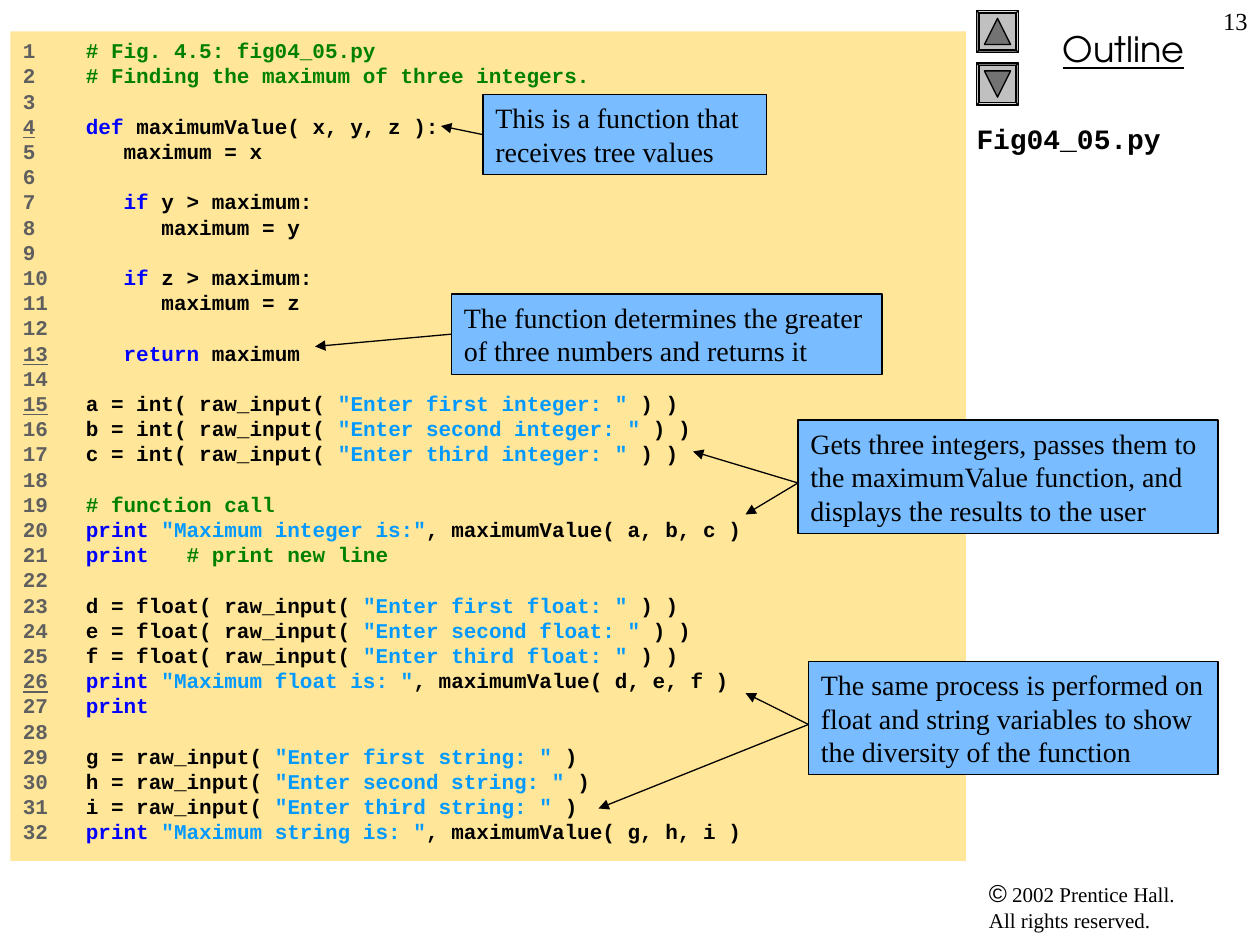
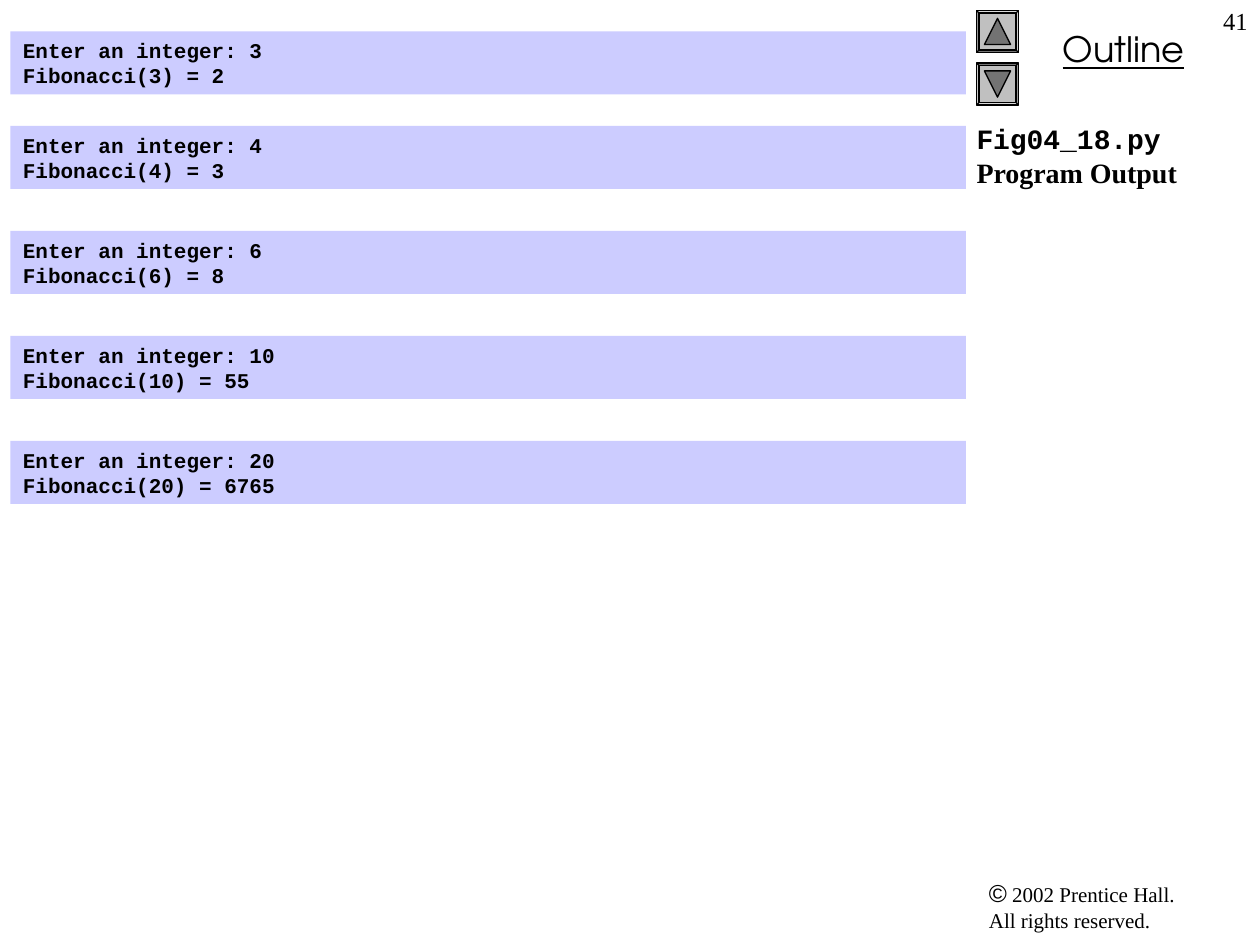
import dataclasses
import typing

import lxml.etree
import pptx
import pptx.dml.color
import pptx.enum.shapes
import pptx.enum.text
import pptx.oxml.ns
import pptx.util

RGB = pptx.dml.color.RGBColor
SHAPE = pptx.enum.shapes.MSO_SHAPE
ALIGN = pptx.enum.text.PP_ALIGN

BLACK = RGB(0x00, 0x00, 0x00)
LISTING_SAND = RGB(0xFF, 0xE6, 0x99)
OUTPUT_LILAC = RGB(0xCC, 0xCC, 0xFF)
CALLOUT_BLUE = RGB(0x79, 0xBC, 0xFF)
BUTTON_GREY = RGB(0xC0, 0xC0, 0xC0)
ARROW_GREY = RGB(0x73, 0x73, 0x73)
NUMBER_GREY = RGB(0x5F, 0x5F, 0x5F)
COMMENT_GREEN = RGB(0x00, 0x80, 0x00)
KEYWORD_BLUE = RGB(0x00, 0x00, 0xFF)
STRING_BLUE = RGB(0x00, 0x99, 0xFF)

SERIF, MONO, SANS, DISPLAY = "Times New Roman", "Courier New", "Arial", "TeX Gyre Adventor"

SLIDE_WIDTH, SLIDE_HEIGHT = pptx.util.Inches(10), pptx.util.Inches(7.5)
COLUMNS, ROWS = 120, 90
LEADING = 1.2
HAIRLINE = pptx.util.Pt(0.75)

PANEL_COLUMN, PANEL_WIDTH = 1, 91
SIDEBAR_COLUMN = 93
BUTTON_SIZE, BUTTON_ARROW_SIZE = 4, 2.5


class Cell(typing.NamedTuple):
    """A place on the slide grid."""
    column: float
    row: float
    width: float
    height: float


class Span(typing.NamedTuple):
    """A stretch of text in one style."""
    text: str
    size: float = 12
    font: str = MONO
    color: RGB = BLACK
    bold: bool = False
    underline: bool = False


Lines = list[list[Span]]


@dataclasses.dataclass(frozen=True)
class Callout:
    """A remark with arrows; tail_row None starts them at the middle of its left side."""
    text: str
    cell: Cell
    tips: tuple[tuple[float, float], ...]
    tail_row: typing.Optional[float] = None


FUNCTION_CODE = """\
# Fig. 4.5: fig04_05.py
# Finding the maximum of three integers.

def maximumValue( x, y, z ):
   maximum = x

   if y > maximum:
      maximum = y

   if z > maximum:
      maximum = z

   return maximum
"""
CALLS_CODE = """\
a = int( raw_input( "Enter first integer: " ) )
b = int( raw_input( "Enter second integer: " ) )
c = int( raw_input( "Enter third integer: " ) )

# function call
print "Maximum integer is:", maximumValue( a, b, c )
print   # print new line

d = float( raw_input( "Enter first float: " ) )
e = float( raw_input( "Enter second float: " ) )
f = float( raw_input( "Enter third float: " ) )
print "Maximum float is: ", maximumValue( d, e, f )
print

g = raw_input( "Enter first string: " )
h = raw_input( "Enter second string: " )
i = raw_input( "Enter third string: " )
print "Maximum string is: ", maximumValue( g, h, i )"""
KEYWORDS = ("def", "if", "return", "print")
UNDERLINED_NUMBERS = (4, 13, 15, 26)

TWO_LINES, THREE_LINES = 7.65, 10.8
CALLOUTS = (
    Callout("This is a function that receives tree values",
            Cell(46, 9, 27, TWO_LINES), ((42, 12),)),
    Callout("The function determines the greater of three numbers and returns it",
            Cell(43, 28, 41, TWO_LINES), ((30, 33),)),
    Callout("Gets three integers, passes them to the maximumValue function, "
            "and displays the results to the user",
            Cell(76, 40, 40, THREE_LINES), ((66, 43), (71, 49)), tail_row=46),
    Callout("The same process is performed on float and string variables "
            "to show the diversity of the function",
            Cell(77, 63, 39, THREE_LINES), ((71, 66), (57, 77)), tail_row=69),
)

FIBONACCI_RUNS = ((3, 2), (4, 3), (6, 8), (10, 55), (20, 6765))
OUTPUT_ROWS = (3, 12, 22, 32, 42)


def across(columns: float) -> int:
    return round(SLIDE_WIDTH * columns / COLUMNS)


def down(rows: float) -> int:
    return round(SLIDE_HEIGHT * rows / ROWS)


def place(cell: Cell) -> tuple[int, int, int, int]:
    return across(cell.column), down(cell.row), across(cell.width), down(cell.height)


def add_span(paragraph, span: Span) -> None:
    for index, piece in enumerate(span.text.split("\n")):
        if index:
            paragraph.add_line_break()
        if not piece:
            continue
        run = paragraph.add_run()
        run.text = piece
        run.font.name = span.font
        run.font.size = pptx.util.Pt(span.size)
        run.font.color.rgb = span.color
        run.font.bold = span.bold
        run.font.underline = span.underline


def write(frame, lines: Lines, align: ALIGN = ALIGN.LEFT, indent: float = 0.1,
          fixed_leading: bool = True) -> None:
    frame.word_wrap = True
    frame.vertical_anchor = pptx.enum.text.MSO_ANCHOR.TOP
    frame.margin_left = pptx.util.Inches(indent)
    for index, spans in enumerate(lines):
        paragraph = frame.paragraphs[0] if index == 0 else frame.add_paragraph()
        paragraph.alignment = align
        if fixed_leading:
            paragraph.line_spacing = pptx.util.Pt(LEADING * spans[0].size)
        for span in spans:
            add_span(paragraph, span)


def add_text(slide, cell: Cell, lines: Lines, **layout) -> None:
    write(slide.shapes.add_textbox(*place(cell)).text_frame, lines, **layout)


def add_block(slide, kind: SHAPE, cell: Cell, fill: RGB, outlined: bool = True,
              rotation: float = 0):
    block = slide.shapes.add_shape(kind, *place(cell))
    block.shadow.inherit = False
    block.rotation = rotation
    block.fill.solid()
    block.fill.fore_color.rgb = fill
    if outlined:
        block.line.color.rgb = BLACK
        block.line.width = HAIRLINE
    else:
        block.line.fill.background()
    return block


def add_panel(slide, row: float, height: float, fill: RGB, lines: Lines) -> None:
    cell = Cell(PANEL_COLUMN, row, PANEL_WIDTH, height)
    panel = add_block(slide, SHAPE.RECTANGLE, cell, fill, outlined=False)
    write(panel.text_frame, lines)


def add_button(slide, row: float, bevel_turn: float, arrow_turn: float) -> None:
    bevel = add_block(slide, SHAPE.BEVEL,
                      Cell(SIDEBAR_COLUMN, row, BUTTON_SIZE, BUTTON_SIZE),
                      BUTTON_GREY, rotation=bevel_turn)
    bevel.adjustments[0] = 0.06
    inset = (BUTTON_SIZE - BUTTON_ARROW_SIZE) / 2
    add_block(slide, SHAPE.ISOSCELES_TRIANGLE,
              Cell(SIDEBAR_COLUMN + inset, row + inset, BUTTON_ARROW_SIZE, BUTTON_ARROW_SIZE),
              ARROW_GREY, rotation=arrow_turn)


def add_callout(slide, callout: Callout) -> None:
    box = add_block(slide, SHAPE.RECTANGLE, callout.cell, CALLOUT_BLUE)
    write(box.text_frame, [[Span(callout.text, 16, SERIF)]])
    joined = callout.tail_row is None
    tail_row = callout.cell.row + callout.cell.height / 2 if joined else callout.tail_row
    qn = pptx.oxml.ns.qn
    for column, row in callout.tips:
        arrow = slide.shapes.add_connector(
            pptx.enum.shapes.MSO_CONNECTOR.STRAIGHT,
            across(callout.cell.column), down(tail_row), across(column), down(row))
        if joined:
            arrow.begin_connect(box, 1)
        arrow.line.color.rgb = BLACK
        arrow.line.width = HAIRLINE
        outline = arrow._element.spPr.find(qn("a:ln"))
        lxml.etree.SubElement(outline, qn("a:tailEnd"), type="triangle")
        lxml.etree.SubElement(arrow._element.spPr, qn("a:effectLst"))


def color_code(line: str) -> list[Span]:
    """Split a code line into keyword, string, comment and plain spans."""
    body, mark, comment = line.partition("#")
    spans = []
    for index, piece in enumerate(body.split('"')):
        if index % 2:
            spans.append(Span(f'"{piece}"', color=STRING_BLUE, bold=True))
            continue
        words = piece.split()
        if index == 0 and words and words[0] in KEYWORDS:
            end = piece.index(words[0]) + len(words[0])
            spans.append(Span(piece[:end], color=KEYWORD_BLUE, bold=True))
            piece = piece[end:]
        spans.append(Span(piece, bold=True))
    spans.append(Span(mark + comment, color=COMMENT_GREEN, bold=True))
    return spans


def number_line(number: int, line: str) -> list[Span]:
    digits = str(number)
    gap = " " * (5 - len(digits)) if line else ""
    return [Span(digits, color=NUMBER_GREY, bold=True,
                 underline=number in UNDERLINED_NUMBERS),
            Span(gap, color=NUMBER_GREY, bold=True), *color_code(line)]


def add_page(deck, page_number: int, title: list[Span]):
    """Add a slide with the sidebar that all slides share."""
    slide = deck.slides.add_slide(deck.slide_layouts[6])
    add_text(slide, Cell(SIDEBAR_COLUMN, 83, 26, 6.5),
             [[Span("©", 14, SANS),
               Span(" 2002 Prentice Hall.\nAll rights reserved.", 12, SERIF)]],
             fixed_leading=False)
    add_text(slide, Cell(94, 2, 26, 5.25),
             [[Span("Outline", 20, DISPLAY, underline=True)]], align=ALIGN.CENTER)
    add_button(slide, 1, bevel_turn=90, arrow_turn=0)
    add_button(slide, 6, bevel_turn=270, arrow_turn=180)
    add_text(slide, Cell(SIDEBAR_COLUMN, 11, 27, 72), [title], indent=0)
    add_text(slide, Cell(114, 0, 6, 6), [[Span(str(page_number), 14, SERIF)]],
             align=ALIGN.RIGHT)
    return slide


def add_listing_page(deck) -> None:
    slide = add_page(deck, 13, [Span("Fig04_05.py", 16, bold=True)])
    code_lines = FUNCTION_CODE.split("\n") + CALLS_CODE.split("\n")
    listing = [number_line(number, line) for number, line in enumerate(code_lines, start=1)]
    add_panel(slide, 3, 79, LISTING_SAND, listing)
    for callout in CALLOUTS:
        add_callout(slide, callout)


def add_output_page(deck) -> None:
    slide = add_page(deck, 41, [Span("Fig04_18.py\n", 16, bold=True),
                                Span("Program Output", 16, SERIF, bold=True)])
    for row, (term, value) in zip(OUTPUT_ROWS, FIBONACCI_RUNS):
        add_panel(slide, row, 6, OUTPUT_LILAC,
                  [[Span(f"Enter an integer: {term}", bold=True)],
                   [Span(f"Fibonacci({term}) = {value}", bold=True)]])


def main() -> None:
    deck = pptx.Presentation()
    deck.slide_width, deck.slide_height = SLIDE_WIDTH, SLIDE_HEIGHT
    add_listing_page(deck)
    add_output_page(deck)
    deck.save("out.pptx")


if __name__ == "__main__":
    main()
